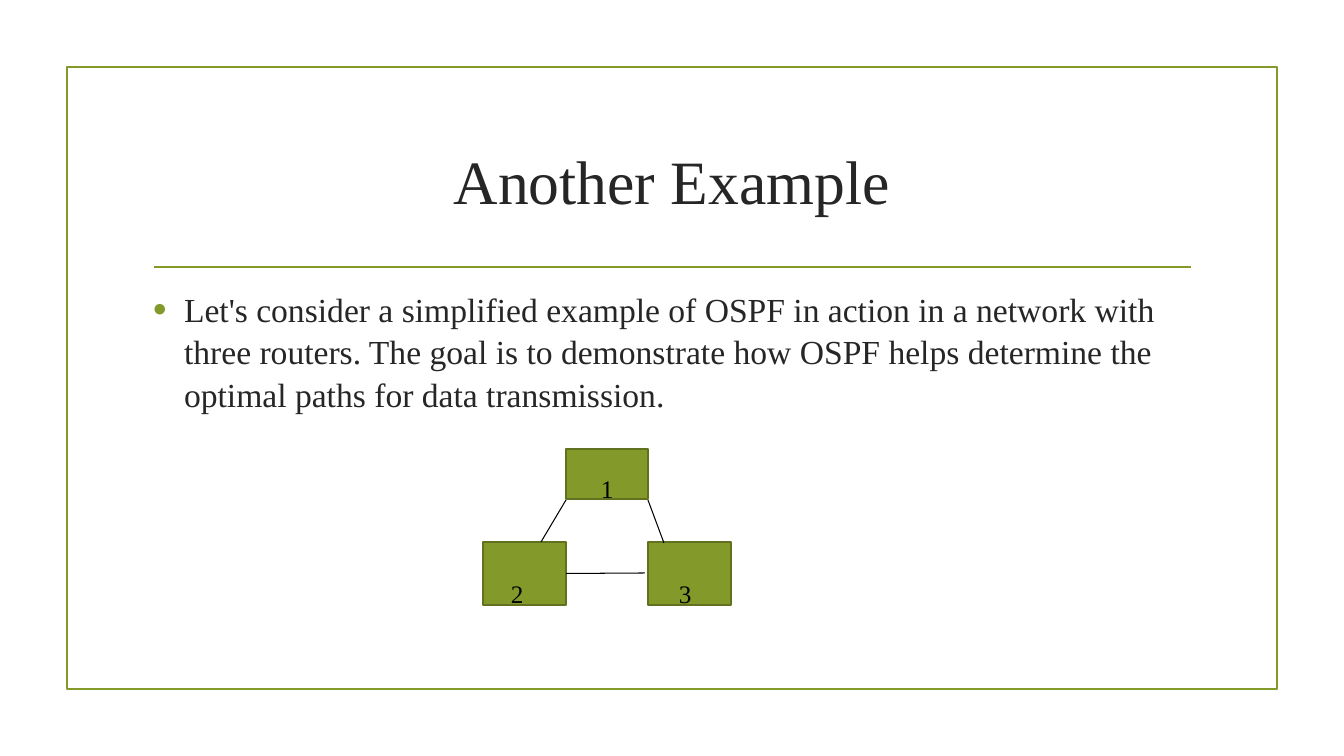
from lxml import etree
from pptx import Presentation
from pptx.dml.color import RGBColor
from pptx.enum.shapes import MSO_CONNECTOR as Connector, MSO_SHAPE as Shape
from pptx.enum.text import MSO_ANCHOR as Anchor, MSO_AUTO_SIZE as AutoSize, PP_ALIGN as Align
from pptx.oxml.ns import qn
from pptx.util import Pt

PX = 914400 / 100.8
FONT = "Times New Roman"
OLIVE = RGBColor(0x83, 0x99, 0x2A)
DARK_OLIVE = RGBColor(0x61, 0x71, 0x1F)
INK = RGBColor(0x26, 0x26, 0x26)
BLACK = RGBColor(0, 0, 0)


def px(*lengths):
    return [round(length * PX) for length in lengths]


def add_line(page, ends, color, width):
    line = page.shapes.add_connector(Connector.STRAIGHT, *px(*ends))
    line.line.color.rgb = color
    line.line.width = Pt(width)
    etree.SubElement(line._element.spPr, qn("a:effectLst"))
    return line


deck = Presentation()
deck.slide_width, deck.slide_height = px(1344, 756)
page = deck.slides.add_slide(deck.slide_layouts[1])
title, body = page.placeholders

# Frame, router boxes: place, fill, outline
boxes = [
    ((67, 67, 1210, 622), None, OLIVE),
    ((566, 449, 82, 50), OLIVE, DARK_OLIVE),
    ((483, 542, 83, 63), OLIVE, DARK_OLIVE),
    ((648, 542, 83, 63), OLIVE, DARK_OLIVE),
]
rectangles = []
for place, fill, outline in boxes:
    box = page.shapes.add_shape(Shape.RECTANGLE, *px(*place))
    box.shadow.inherit = False
    if fill is None:
        box.fill.background()
    else:
        box.fill.solid()
        box.fill.fore_color.rgb = fill
    box.line.color.rgb = outline
    box.line.width = Pt(1.25)
    rectangles.append(box)
frame, router_1, router_2, router_3 = rectangles

# Rule under the title
add_line(page, (154, 267, 1191, 267), OLIVE, 1.25)

# Title and body text
texts = [
    (title, (143, 108, 1058, 144), Anchor.MIDDLE, Align.CENTER, 44, "Another Example"),
    (body, (143, 282, 1058, 366), Anchor.TOP, Align.LEFT, 24,
     "Let's consider a simplified example of OSPF in action in a network with "
     "three routers. The goal is to demonstrate how OSPF helps determine the "
     "optimal paths for data transmission."),
]
for holder, place, anchor, align, size, text in texts:
    holder.left, holder.top, holder.width, holder.height = px(*place)
    frame_text = holder.text_frame
    frame_text.text = text
    frame_text.auto_size = AutoSize.NONE
    frame_text.vertical_anchor = anchor
    para = frame_text.paragraphs[0]
    para.alignment = align
    para.space_before = Pt(0)
    if holder is body:
        para.line_spacing = 1.05
        para.space_after = Pt(6)
        settings = para._p.get_or_add_pPr()
        indent = px(31)[0]
        settings.set("marL", str(indent))
        settings.set("indent", str(-indent))
        bullet_color = etree.SubElement(settings, qn("a:buClr"))
        etree.SubElement(bullet_color, qn("a:srgbClr"), val=str(OLIVE))
        etree.SubElement(settings, qn("a:buSzPct"), val="115000")
        etree.SubElement(settings, qn("a:buFont"), typeface="Arial")
        etree.SubElement(settings, qn("a:buChar"), char="•")
    para.font.name = FONT
    para.font.size = Pt(size)
    para.font.color.rgb = INK

# Links between routers
add_line(page, (566, 500, 541, 542), BLACK, 0.75)
bottom_link = add_line(page, (566, 574, 645, 573), BLACK, 0.75)
bottom_link.begin_connect(router_2, 3)
add_line(page, (648, 500, 664, 543), BLACK, 0.75)

# Router numbers
numbers = [("1", 591, 468, 34), ("2", 501, 573, 40), ("3", 669, 573, 54)]
for number, left, top, width in numbers:
    label = page.shapes.add_textbox(*px(left, top, width, 40))
    label.text_frame.word_wrap = True
    label.text_frame.auto_size = AutoSize.SHAPE_TO_FIT_TEXT
    para = label.text_frame.paragraphs[0]
    para.text = number
    para.font.name = FONT
    para.font.size = Pt(18)
    para.font.color.rgb = BLACK

deck.save("out.pptx")
